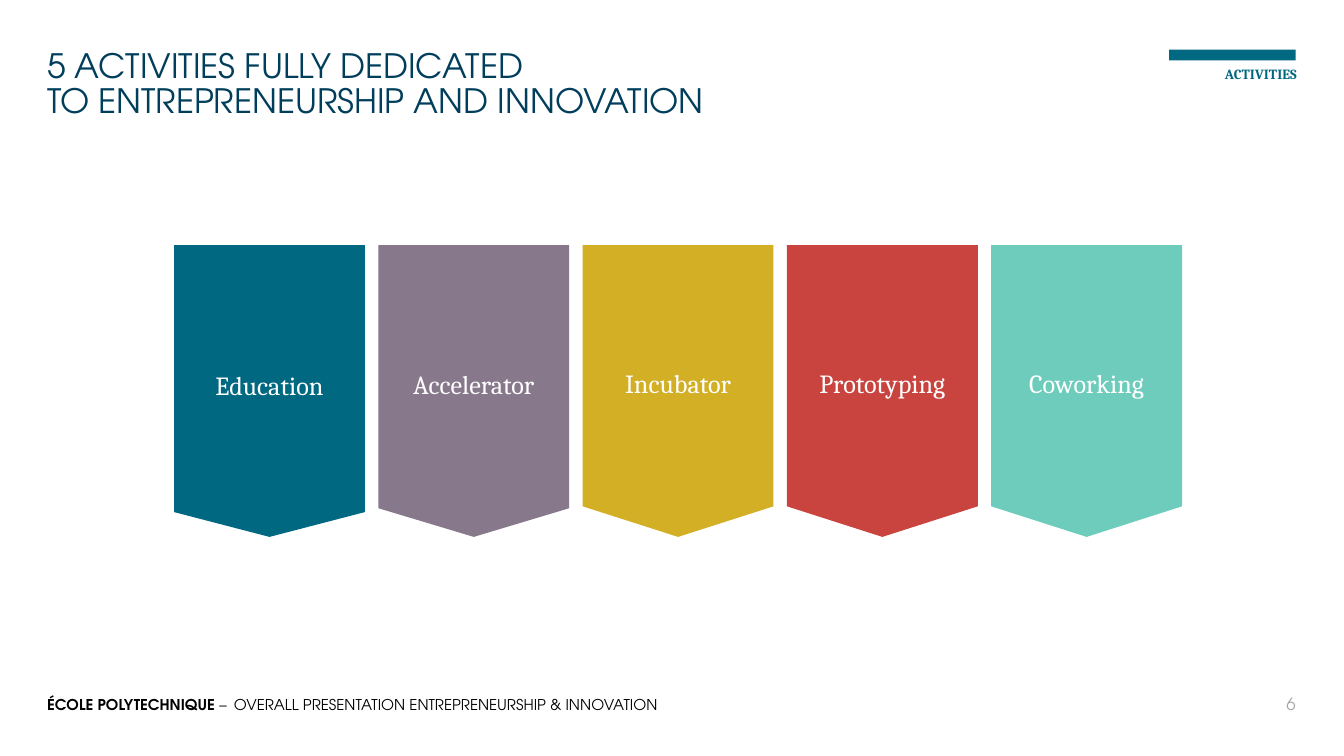
from dataclasses import dataclass

from pptx import Presentation
from pptx.dml.color import RGBColor
from pptx.enum.shapes import MSO_SHAPE
from pptx.enum.text import MSO_ANCHOR, MSO_AUTO_SIZE, PP_ALIGN
from pptx.shapes.autoshape import Shape
from pptx.slide import Slide
from pptx.text.text import TextFrame
from pptx.util import Inches, Pt

LEFT, CENTER, RIGHT = PP_ALIGN.LEFT, PP_ALIGN.CENTER, PP_ALIGN.RIGHT
TOP, MIDDLE = MSO_ANCHOR.TOP, MSO_ANCHOR.MIDDLE
RECT, PLATE = MSO_SHAPE.RECTANGLE, MSO_SHAPE.PENTAGON
FIXED = MSO_AUTO_SIZE.NONE
TITLE_ONLY = 5


@dataclass(frozen=True)
class Theme:
    sans: str = "TeX Gyre Adventor"
    serif: str = "Cambria"
    navy: str = "003E5C"
    teal: str = "006880"
    mauve: str = "87788B"
    gold: str = "D2AF24"
    red: str = "C9443E"
    mint: str = "6DCCBB"
    black: str = "000000"
    gray: str = "A6A6A6"
    white: str = "FFFFFF"
    head: float = 18
    lead: float = 19
    item: float = 14
    tag: float = 7.5
    foot: float = 8
    page: float = 9


THEME = Theme()


@dataclass(frozen=True)
class Box:
    left: float
    top: float
    width: float
    height: float


@dataclass(frozen=True)
class Style:
    font: str
    size: float
    color: str
    bold: bool = False
    align: PP_ALIGN = LEFT
    anchor: MSO_ANCHOR = MIDDLE


@dataclass(frozen=True)
class Label:
    text: str
    box: Box
    style: Style


@dataclass(frozen=True)
class Banner:
    text: str
    color: str
    point: float


BANNERS = [
    Banner("Education", THEME.teal, 0.13),
    Banner("Accelerator", THEME.mauve, 0.15),
    Banner("Incubator", THEME.gold, 0.16),
    Banner("Prototyping", THEME.red, 0.16),
    Banner("Coworking", THEME.mint, 0.16),
]
# Banners are right-pointing plates turned a quarter
ROW = Box(0.92, 2.2, 2.17, 1.42)
STEP = 1.52

FOOT = Style(THEME.sans, THEME.foot, THEME.black)
LABELS = [
    Label("ACTIVITIES", Box(8.31, 0.49, 1.34, 0.28),
          Style(THEME.serif, THEME.tag, THEME.teal, True, RIGHT, TOP)),
    Label("OVERALL PRESENTATION ENTREPRENEURSHIP & INNOVATION",
          Box(1.74, 5.16, 7.32, 0.16), FOOT),
    Label("6", Box(9.25, 5.16, 0.39, 0.16),
          Style(THEME.sans, THEME.page, THEME.gray, align=RIGHT)),
]


def place(box: Box) -> tuple:
    return tuple(Inches(n) for n in (box.left, box.top, box.width, box.height))


def write(frame: TextFrame, text: str, style: Style) -> None:
    frame.text = text
    frame.word_wrap = True
    frame.auto_size = FIXED
    frame.vertical_anchor = style.anchor
    for para in frame.paragraphs:
        para.alignment = style.align
        for run in para.runs:
            run.font.name = style.font
            run.font.size = Pt(style.size)
            run.font.bold = style.bold
            run.font.color.rgb = RGBColor.from_string(style.color)


def trim(frame: TextFrame) -> None:
    frame.margin_left = frame.margin_right = 0
    frame.margin_top = frame.margin_bottom = 0


def add_label(slide: Slide, label: Label) -> TextFrame:
    frame = slide.shapes.add_textbox(*place(label.box)).text_frame
    trim(frame)
    write(frame, label.text, label.style)
    return frame


def add_block(slide: Slide, kind: MSO_SHAPE, box: Box, color: str) -> Shape:
    shape = slide.shapes.add_shape(kind, *place(box))
    shape.shadow.inherit = False
    shape.fill.solid()
    shape.fill.fore_color.rgb = RGBColor.from_string(color)
    shape.line.fill.background()
    return shape


def add_banner(slide: Slide, index: int, item: Banner) -> None:
    box = Box(ROW.left + index * STEP, ROW.top, ROW.width, ROW.height)
    shape = add_block(slide, PLATE, box, item.color)
    shape.adjustments[0] = item.point
    shape.rotation = 90
    frame = shape.text_frame
    write(frame, item.text,
          Style(THEME.serif, THEME.item, THEME.white, align=CENTER))
    # Turn the text back upright
    frame._txBody.bodyPr.set("vert", "vert270")


def add_title(slide: Slide) -> None:
    title = slide.shapes.title
    title.left, title.top, title.width, title.height = place(
        Box(0.35, 0.37, 7.09, 0.55))
    frame = title.text_frame
    trim(frame)
    write(frame,
          "5 ACTIVITIES FULLY DEDICATED\vTO ENTREPRENEURSHIP AND INNOVATION",
          Style(THEME.sans, THEME.head, THEME.navy, anchor=TOP))
    frame.paragraphs[0].line_spacing = Pt(THEME.lead)
    frame.paragraphs[0].space_before = Pt(0)


def main() -> None:
    deck = Presentation()
    # Widescreen, 16 by 9
    deck.slide_width = Inches(10)
    deck.slide_height = Inches(10 * 9 / 16)
    slide = deck.slides.add_slide(deck.slide_layouts[TITLE_ONLY])

    # Footer name, bold, with a plain dash after it
    name = add_label(slide, Label("ÉCOLE POLYTECHNIQUE",
                                  Box(0.35, 5.16, 1.42, 0.16), FOOT))
    para = name.paragraphs[0]
    para.runs[0].font.bold = True
    dash = para.add_run()
    dash.text = " –"
    dash.font.name, dash.font.size = FOOT.font, Pt(FOOT.size)
    dash.font.color.rgb = RGBColor.from_string(FOOT.color)

    # Title and the five activities
    add_title(slide)
    for index, item in enumerate(BANNERS):
        add_banner(slide, index, item)

    # Section bar, section tag and the rest of the footer
    add_block(slide, RECT, Box(8.7, 0.37, 0.94, 0.08), THEME.teal)
    for label in LABELS:
        add_label(slide, label)

    deck.save("out.pptx")


if __name__ == "__main__":
    main()
